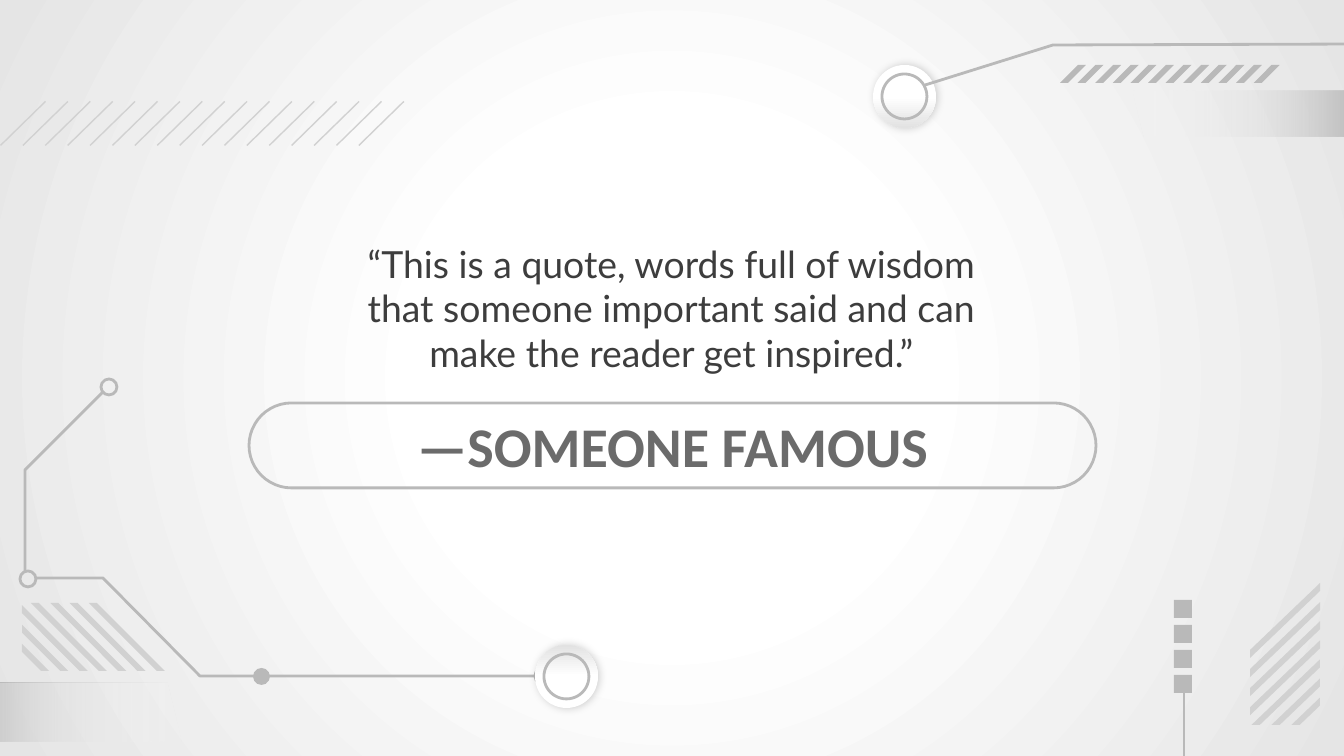
import pptx
import pptx.dml.color
import pptx.enum.shapes
import pptx.enum.text
import pptx.oxml
import pptx.oxml.ns
import pptx.util

RGB = pptx.dml.color.RGBColor
KIND = pptx.enum.shapes.MSO_SHAPE
ALIGN = pptx.enum.text.PP_ALIGN
NAMESPACES = pptx.oxml.ns.nsdecls("a", "p")

WHITE = RGB(0xFF, 0xFF, 0xFF)
EDGE = RGB(0xE5, 0xE5, 0xE5)
SHADE = RGB(0xE2, 0xE2, 0xE2)
MIST = RGB(0xDC, 0xDC, 0xDC)
STRIPE = RGB(0xD1, 0xD1, 0xD1)
GRAY = RGB(0xB9, 0xB9, 0xB9)
NAME = RGB(0x6B, 0x6B, 0x6B)
QUOTE = RGB(0x3D, 0x3D, 0x3D)

WIDTH, HEIGHT = 1344, 756
SCALE = 914400 / 134.4


def px(value):
    return pptx.util.Emu(round(value * SCALE))


def gradient(stops, direction):
    """Gradient XML from (position, colour, opacity) stops in percent."""
    marks = "".join(
        f'<a:gs pos="{place * 1000}"><a:srgbClr val="{color}">'
        f'<a:alpha val="{opacity * 1000}"/></a:srgbClr></a:gs>'
        for place, color, opacity in stops)
    return (f'<a:gradFill {NAMESPACES} rotWithShape="1"><a:gsLst>{marks}'
            f'</a:gsLst>{direction}</a:gradFill>')


def linear(angle):
    return f'<a:lin ang="{angle * 60000}" scaled="0"/>'


class Sketch:
    line_width = pptx.util.Pt(1.5)

    def __init__(self, slide):
        self.slide = slide
        self.shapes = slide.shapes

    def background(self, stops):
        circle = ('<a:path path="circle"><a:fillToRect l="50000" t="50000" '
                  'r="50000" b="50000"/></a:path>')
        self.slide._element.cSld.insert(0, pptx.oxml.parse_xml(
            f'<p:bg {NAMESPACES}><p:bgPr>{gradient(stops, circle)}'
            '<a:effectLst/></p:bgPr></p:bg>'))

    def paint(self, shape, fill=None, line=None):
        shape.shadow.inherit = False
        if fill is None:
            shape.fill.background()
        else:
            shape.fill.solid()
            shape.fill.fore_color.rgb = fill
        if line is None:
            shape.line.fill.background()
        else:
            shape.line.color.rgb = line
            shape.line.width = self.line_width
        return shape

    def shape(self, kind, left, top, width, height, fill=None, line=None):
        shape = self.shapes.add_shape(kind, px(left), px(top), px(width), px(height))
        return self.paint(shape, fill, line)

    def graded(self, kind, left, top, width, height, stops, angle):
        shape = self.shape(kind, left, top, width, height, WHITE)
        properties = shape._element.spPr
        solid = properties.find(pptx.oxml.ns.qn("a:solidFill"))
        properties.replace(solid, pptx.oxml.parse_xml(gradient(stops, linear(angle))))
        return shape

    def outline(self, points, fill=None, line=None):
        corners = [(px(x), px(y)) for x, y in points]
        builder = self.shapes.build_freeform(*corners[0], scale=1.0)
        builder.add_line_segments(corners[1:], close=fill is not None)
        return self.paint(builder.convert_to_shape(), fill, line)

    def line(self, x1, y1, x2, y2):
        line = self.shapes.add_connector(
            pptx.enum.shapes.MSO_CONNECTOR.STRAIGHT, px(x1), px(y1), px(x2), px(y2))
        line.line.color.rgb = GRAY
        line.line.width = self.line_width
        line._element.spPr.append(pptx.oxml.parse_xml(f'<a:effectLst {NAMESPACES}/>'))

    def ring(self, left, top, size):
        self.shape(KIND.OVAL, left, top, size, size, line=GRAY)

    def knob(self, left, top, angle):
        stops = [(0, WHITE, 100), (50, WHITE, 100), (100, SHADE, 100)]
        disc = self.graded(KIND.OVAL, left, top, 63, 63, stops, angle)
        effects = disc._element.spPr.find(pptx.oxml.ns.qn("a:effectLst"))
        effects.append(pptx.oxml.parse_xml(
            f'<a:outerShdw {NAMESPACES} blurRad="57150" dist="10160" dir="0">'
            '<a:srgbClr val="000000"><a:alpha val="19000"/></a:srgbClr></a:outerShdw>'))
        self.ring(left + 9, top + 9, 45)

    def fading_bar(self, left, top, width, height, rotation):
        stops = [(0, GRAY, 100), (43, MIST, 42), (100, WHITE, 0)]
        bar = self.graded(KIND.PARALLELOGRAM, left, top, width, height, stops, 0)
        bar.adjustments[0] = 0.25
        bar.rotation = rotation
        bar._element.spPr.xfrm.set("flipH", "1")

    def text(self, box, left, top, width, height, words, font, size, color, bold=False):
        box.left, box.top, box.width, box.height = map(px, (left, top, width, height))
        frame = box.text_frame
        frame.text = words
        frame.word_wrap = True
        frame.auto_size = pptx.enum.text.MSO_AUTO_SIZE.NONE
        frame.vertical_anchor = pptx.enum.text.MSO_ANCHOR.MIDDLE
        frame.margin_left = frame.margin_right = pptx.util.Inches(0.1)
        frame.margin_top = frame.margin_bottom = pptx.util.Inches(0.1)
        para = frame.paragraphs[0]
        para.alignment = ALIGN.CENTER
        span = para.runs[0]
        span.font.name, span.font.size = font, pptx.util.Pt(size)
        span.font.bold, span.font.color.rgb = bold, color


def main():
    deck = pptx.Presentation()
    deck.slide_width, deck.slide_height = px(WIDTH), px(HEIGHT)
    slide = deck.slides.add_slide(deck.slide_layouts[5])
    sketch = Sketch(slide)
    sketch.background([(0, WHITE, 100), (32, WHITE, 100), (100, EDGE, 100)])

    # Fading bars and the pill around the name
    sketch.fading_bar(1133, 91, 228, 46, 0)
    sketch.fading_bar(-38, 683, 220, 58, 180)
    pill = sketch.shape(KIND.ROUNDED_RECTANGLE, 249, 403, 847, 85, line=GRAY)
    pill.adjustments[0] = 0.5

    # Squares on a stem
    sketch.line(1184, 688, 1184, HEIGHT)
    for row in range(4):
        sketch.shape(KIND.RECTANGLE, 1174, 600 + 25 * row, 18, 18, GRAY)

    # Thin stripes, top left
    for step in range(17):
        x = 22.4 * step
        sketch.outline([(x + 1, 146), (x + 46, 102), (x + 45, 101), (x, 145)], STRIPE)

    # Falling stripes, bottom left, cut at the left edge
    edge, top, bottom = 22, 603, 671
    for step in range(-3, 4):
        x = 31 + 19.3 * step
        upper = [(max(end, edge), top + max(0, edge - end)) for end in (x, x + 8)]
        sketch.outline(upper + [(x + 8 + bottom - top, bottom),
                                (x + bottom - top, bottom)], STRIPE)

    # Circuit, bottom left
    sketch.outline([(36, 578), (103, 578), (200, 676), (534, 676)], line=GRAY)
    sketch.ring(535, 668, 16)
    sketch.ring(20, 571, 16)
    sketch.knob(535, 645, 270)
    sketch.outline([(103, 392), (25, 470), (25, 571)], line=GRAY)
    sketch.ring(101, 379, 16)
    sketch.shape(KIND.OVAL, 253, 668, 17, 17, GRAY)

    # Short stripes and circuit, top right
    for step in range(12):
        x = 1060 + 17.6 * step
        sketch.outline([(x + 26, 65), (x + 8, 83), (x, 83), (x + 18, 65)], GRAY)
    sketch.knob(873, 65, 90)
    sketch.outline([(1351, 44), (1053, 45), (925, 85)], line=GRAY)

    # Rising stripes, bottom right, cut at the lower edge
    right, bottom = 1320, 725
    for step in range(7):
        y = 583 + 19.1 * step
        ends = [(start, min(67, bottom - start)) for start in (y + 8, y)]
        lower = [(right - drop * 70 / 67, start + drop) for start, drop in ends]
        sketch.outline([(right, y), (right, y + 8)] + lower, STRIPE)

    # Name and quote
    sketch.text(slide.shapes.title, 278, 403, 789, 85,
                "—SOMEONE FAMOUS", "Calibri", 30, NAME, bold=True)
    sketch.text(slide.shapes.add_textbox(0, 0, 0, 0), 329, 199, 685, 218,
                "“This is a quote, words full of wisdom that someone important "
                "said and can make the reader get inspired.”", "Lato", 20, QUOTE)
    deck.save("out.pptx")


if __name__ == "__main__":
    main()
